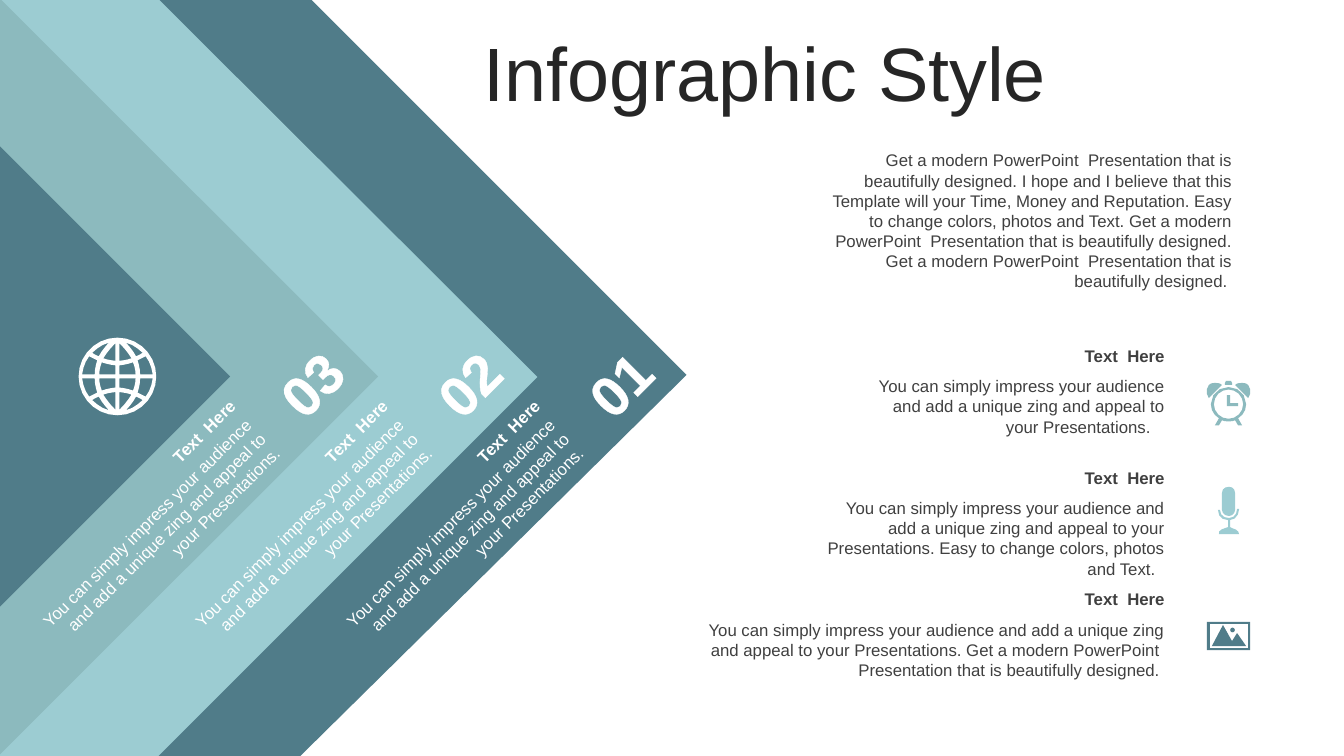
from dataclasses import dataclass
from math import cos, pi, sin

from lxml.etree import SubElement
from pptx import Presentation
from pptx.dml.color import RGBColor
from pptx.enum.shapes import MSO_SHAPE
from pptx.enum.text import MSO_ANCHOR, MSO_AUTO_SIZE, PP_ALIGN
from pptx.oxml.ns import qn
from pptx.util import Emu, Pt

EMU_PER_PX = 9144
FONT = "Arial"
TEAL, SAGE, AQUA = "507C89", "8CBABE", "9CCCD2"
WHITE, INK, GREY = "FFFFFF", "262626", "404040"
HEADING = "Text  Here"
PITCH = "You can simply impress your audience and add a unique zing and appeal to your Presentations."
DESIGNED = "Get a modern PowerPoint  Presentation that is beautifully designed. "
INTRO = (
    DESIGNED
    + "I hope and I believe that this Template will your Time, Money and Reputation. "
    + "Easy to change colors, photos and Text. "
    + DESIGNED * 2
)

Contour = list[tuple[float, ...]]


@dataclass(frozen=True)
class Box:
    left: int
    top: int
    width: int
    height: int


@dataclass(frozen=True)
class Style:
    size: int
    color: str
    align: PP_ALIGN = PP_ALIGN.RIGHT
    bold: bool = False
    anchor: MSO_ANCHOR = MSO_ANCHOR.TOP
    rotation: int = 0


@dataclass(frozen=True)
class Band:
    number: str
    number_left: int
    heading_left: int
    body_left: int


@dataclass(frozen=True)
class Feature:
    left: int
    top: int
    width: int
    body_top: int
    body: str


FRONT_BANDS = [Band("01", 562, 266, 297), Band("02", 412, 115, 147)]
INNER_BAND = Band("03", 256, -36, -4)
FEATURES = [
    Feature(850, 338, 315, 368, PITCH + "   "),
    Feature(797, 459, 368, 489, PITCH + " Easy to change colors, photos and Text.  "),
    Feature(677, 579, 488, 610, PITCH + " " + DESIGNED),
]

OUTER_CHEVRON: Contour = [(-2, -5), (306, -3), (681, 372), (298, 750), (-2, 751)]
MIDDLE_CHEVRON: Contour = [(-1, -1), (157, -1), (533, 374), (157, 750), (-1, 750)]

GLOBE_CENTER = (116.5, 373.5)
GLOBE_QUARTER: list[Contour] = [
    [(2, 2), (2, 11), (7, 11.5, 11, 12.5, 15.5, 14), (17, 10, 18, 6, 18, 2)],
    [(2, 15.5), (2, 33), (7, 28, 11, 23, 14, 18), (10, 16.5, 6, 16, 2, 15.5)],
    [(22.5, 2), (22.5, 7, 21.5, 11.5, 20, 16), (28, 20), (32, 15, 34, 9, 35, 2)],
    [(18.5, 20), (16, 25, 12, 29.5, 8.5, 33.5), (15, 32, 20, 28, 25, 23.5), (23, 22, 21, 21, 18.5, 20)],
]

CLOCK_AXIS = 1218.5
CLOCK_BELL: Contour = [
    (1205, 380), (1208, 380, 1210, 380, 1212, 382), (1199, 395),
    (1196, 391, 1196, 386, 1199, 382), (1201, 380, 1203, 380, 1205, 380),
]
CLOCK_BODY: Contour = [
    (1218.5, 384), (1228, 384, 1236, 391, 1236, 401), (1236, 407, 1233, 412, 1228, 415),
    (1232, 422), (1228, 422), (1225, 417), (1223, 418, 1221, 418, 1218.5, 418),
    (1216, 418, 1214, 418, 1212, 417), (1209, 422), (1205, 422), (1209, 415),
    (1204, 412, 1201, 407, 1201, 401), (1201, 391, 1209, 384, 1218.5, 384),
]
CLOCK_HANDS: Contour = [
    (1217, 392), (1220, 392), (1220, 400), (1228, 400), (1228, 403), (1217, 403),
]
CLOCK_BUTTON: Contour = [(1216, 378), (1221, 378), (1222, 380), (1222, 382), (1215, 382), (1215, 380)]
MICROPHONE: list[Contour] = [
    [
        (1229, 505), (1229, 511, 1225, 516, 1220, 516), (1220, 523), (1222, 524),
        (1226, 525, 1229, 527, 1229, 530), (1209, 530),
        (1208, 527, 1211, 525, 1215, 524), (1218, 523), (1218, 516),
        (1212, 516, 1208, 512, 1208, 506), (1210, 506), (1210, 511, 1214, 514, 1219, 514),
        (1224, 514, 1227, 510, 1227, 505),
    ],
    [
        (1219, 483), (1222, 483, 1225, 485, 1225, 489), (1225, 506),
        (1225, 509, 1222, 512, 1219, 512), (1215, 512, 1212, 509, 1212, 506),
        (1212, 489), (1212, 485, 1215, 483, 1219, 483),
    ],
]
MOUNTAINS: Contour = [(1213, 620), (1222, 636), (1227, 628), (1236, 641), (1202, 641)]


def px(value: float) -> Emu:
    return Emu(round(value * EMU_PER_PX))


def rgb(color: str) -> RGBColor:
    return RGBColor.from_string(color)


def circle(x: float, y: float, radius: float, corners: int) -> Contour:
    angles = [2 * pi * k / corners for k in range(corners)]
    return [(x + radius * cos(angle), y + radius * sin(angle)) for angle in angles]


def rectangle(left: int, top: int, right: int, bottom: int) -> Contour:
    return [(left, top), (right, top), (right, bottom), (left, bottom)]


def mapped(contour: Contour, origin: tuple[float, float], flip: tuple[int, int]) -> Contour:
    return [tuple(origin[i % 2] + flip[i % 2] * v for i, v in enumerate(step)) for step in contour]


def flatten(contour: Contour, steps: int = 3) -> list[tuple[int, int]]:
    points: list[tuple[float, ...]] = []
    for step in contour:
        if len(step) == 2:
            points.append(step)
            continue
        knots = [points[-1], step[:2], step[2:4], step[4:]]
        for k in range(1, steps + 1):
            t = k / steps
            weights = ((1 - t) ** 3, 3 * t * (1 - t) ** 2, 3 * t * t * (1 - t), t**3)
            points.append(tuple(sum(w * p[i] for w, p in zip(weights, knots)) for i in (0, 1)))
    return [(px(x), px(y)) for x, y in points]


def paint(shape, color: str) -> None:
    shape.shadow.inherit = False
    shape.fill.solid()
    shape.fill.fore_color.rgb = rgb(color)
    shape.line.fill.background()


def draw_outline(shapes, contours: list[Contour], color: str) -> None:
    first, *others = [flatten(contour) for contour in contours]
    builder = shapes.build_freeform(*first[0], scale=1.0)
    builder.add_line_segments(first[1:], close=True)
    for points in others:
        builder.move_to(*points[0])
        builder.add_line_segments(points[1:], close=True)
    paint(builder.convert_to_shape(), color)


def draw_corner(shapes, box: Box, color: str) -> None:
    corner = shapes.add_shape(
        MSO_SHAPE.RIGHT_TRIANGLE, px(box.left), px(box.top), px(box.width), px(box.height)
    )
    corner.rotation = 225
    paint(corner, color)


def draw_text(shapes, box: Box, text: str, style: Style):
    label = shapes.add_textbox(px(box.left), px(box.top), px(box.width), px(box.height))
    label.rotation = style.rotation
    frame = label.text_frame
    frame.word_wrap = True
    frame.auto_size = MSO_AUTO_SIZE.SHAPE_TO_FIT_TEXT
    frame.vertical_anchor = style.anchor
    paragraph = frame.paragraphs[0]
    paragraph.alignment = style.align
    run = paragraph.add_run()
    run.text = text
    run.font.name = FONT
    run.font.size = Pt(style.size)
    run.font.bold = style.bold
    run.font.color.rgb = rgb(style.color)
    return frame


def draw_band(shapes, band: Band) -> None:
    number = Style(40, WHITE, PP_ALIGN.CENTER, bold=True, rotation=315)
    heading = Style(12, WHITE, bold=True, anchor=MSO_ANCHOR.MIDDLE, rotation=315)
    frame = draw_text(shapes, Box(band.number_left, 342, 105, 77), band.number, number)
    properties = frame.paragraphs[0].runs[0]._r.get_or_add_rPr()
    outline = SubElement(properties, qn("a:ln"), w=str(Pt(1)))
    SubElement(SubElement(outline, qn("a:solidFill")), qn("a:srgbClr"), val=WHITE)
    properties.insert(0, outline)
    draw_text(shapes, Box(band.heading_left, 491, 320, 30), HEADING, heading)
    draw_text(shapes, Box(band.body_left, 503, 318, 71), PITCH, Style(12, WHITE, rotation=315))


def draw_icons(shapes) -> None:
    flips = [(1, 1), (-1, 1), (1, -1), (-1, -1)]
    cells = [mapped(cell, GLOBE_CENTER, flip) for cell in GLOBE_QUARTER for flip in flips]
    draw_outline(shapes, [circle(*GLOBE_CENTER, 38.5, 28)] + cells, WHITE)
    other_bell = mapped(CLOCK_BELL, (2 * CLOCK_AXIS, 0), (-1, 1))
    face = circle(CLOCK_AXIS, 401, 14.5, 16)
    draw_outline(shapes, [CLOCK_BODY, face, CLOCK_HANDS, CLOCK_BELL, other_bell, CLOCK_BUTTON], SAGE)
    draw_outline(shapes, MICROPHONE, AQUA)
    frame = [rectangle(1197, 617, 1240, 645), rectangle(1200, 619, 1238, 643)]
    draw_outline(shapes, frame + [MOUNTAINS, circle(1222.5, 625, 2.3, 12)], TEAL)


def main() -> None:
    deck = Presentation()
    deck.slide_width, deck.slide_height = px(1333), px(750)
    shapes = deck.slides.add_slide(deck.slide_layouts[6]).shapes

    draw_outline(shapes, [OUTER_CHEVRON], TEAL)
    draw_outline(shapes, [MIDDLE_CHEVRON], AQUA)
    draw_corner(shapes, Box(-266, 108, 531, 531), SAGE)
    draw_corner(shapes, Box(-164, 211, 325, 325), TEAL)

    title = draw_text(shapes, Box(216, 37, 1085, 79), "Infographic Style",
                      Style(54, INK, PP_ALIGN.CENTER, anchor=MSO_ANCHOR.MIDDLE))
    title.auto_size = MSO_AUTO_SIZE.NONE
    title.paragraphs[0].line_spacing = 0.9
    title.paragraphs[0].space_before = Pt(10)

    for band in FRONT_BANDS:
        draw_band(shapes, band)
    for item in FEATURES:
        draw_text(shapes, Box(item.left, item.body_top, item.width, 71), item.body, Style(12, GREY))
        draw_text(shapes, Box(item.left, item.top, item.width, 30), HEADING, Style(12, GREY, bold=True))
    draw_text(shapes, Box(801, 144, 431, 151), INTRO, Style(12, GREY))
    draw_band(shapes, INNER_BAND)
    draw_icons(shapes)
    deck.save("out.pptx")


if __name__ == "__main__":
    main()
